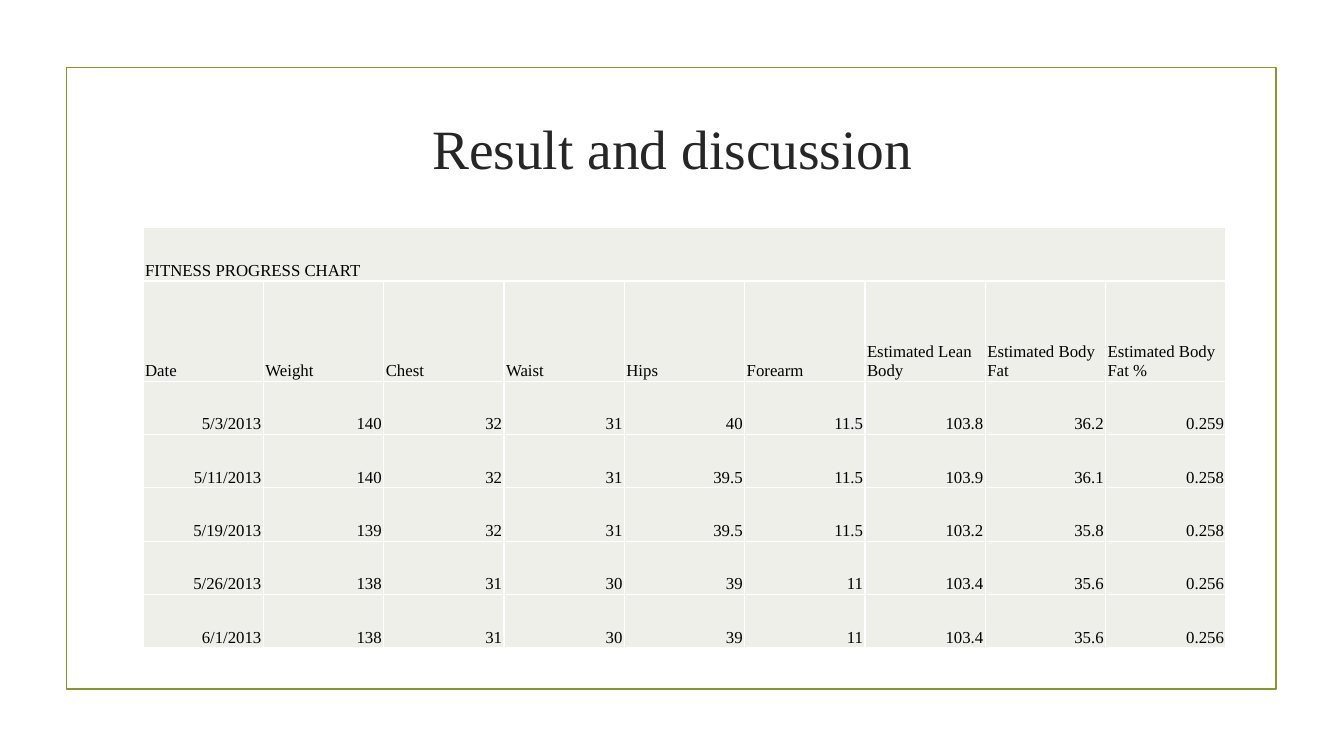
from lxml import etree
from pptx import Presentation
from pptx import util as u
from pptx.dml.color import RGBColor
from pptx.enum import shapes, text
from pptx.oxml.ns import qn

HEADINGS = ["Date", "Weight", "Chest", "Waist", "Hips", "Forearm",
            "Estimated Lean Body", "Estimated Body Fat", "Estimated Body Fat %"]
MEASUREMENTS = [
    ["5/3/2013", "140", "32", "31", "40", "11.5", "103.8", "36.2", "0.259"],
    ["5/11/2013", "140", "32", "31", "39.5", "11.5", "103.9", "36.1", "0.258"],
    ["5/19/2013", "139", "32", "31", "39.5", "11.5", "103.2", "35.8", "0.258"],
    ["5/26/2013", "138", "31", "30", "39", "11", "103.4", "35.6", "0.256"],
    ["6/1/2013", "138", "31", "30", "39", "11", "103.4", "35.6", "0.256"],
]
ROW_HEIGHT, HEADING_HEIGHT = 7.05, 13.25


def color(hex_code):
    return RGBColor.from_string(hex_code)


def assign(target, values):
    for attribute, value in values.items():
        setattr(target, attribute, value)


class Deck:
    """Holds the style and the current slide; lengths are percentages of the slide."""

    FONT = "Times New Roman"
    OLIVE, CELL, RULE = "83992A", "EDEFE8", "FFFFFF"
    TITLE_INK, TABLE_INK = "262626", "000000"
    CELL_FORMAT = {
        "vertical_anchor": text.MSO_ANCHOR.BOTTOM,
        "margin_left": u.Inches(0.02), "margin_right": u.Inches(0.02),
        "margin_top": u.Inches(0.01), "margin_bottom": u.Inches(0.01),
    }

    def __init__(self):
        self.presentation = Presentation()
        assign(self.presentation, {"slide_width": u.Inches(13.33),
                                   "slide_height": u.Inches(7.5)})
        title_only = self.presentation.slide_layouts[5]
        self.slide = self.presentation.slides.add_slide(title_only)

    def across(self, share):
        return round(self.presentation.slide_width * share / 100)

    def down(self, share):
        return round(self.presentation.slide_height * share / 100)

    def box(self, left, top, width, height):
        return self.across(left), self.down(top), self.across(width), self.down(height)

    def put_text(self, frame, wording, size, ink, align):
        paragraph = frame.paragraphs[0]
        paragraph.alignment = align
        run = paragraph.add_run()
        run.text = wording
        assign(run.font, {"name": self.FONT, "size": u.Pt(size), "bold": False})
        run.font.color.rgb = color(ink)

    def title(self, wording, *place):
        heading = self.slide.shapes.title
        assign(heading, dict(zip(("left", "top", "width", "height"), self.box(*place))))
        assign(heading.text_frame, {"vertical_anchor": text.MSO_ANCHOR.MIDDLE,
                                    "word_wrap": True,
                                    "auto_size": text.MSO_AUTO_SIZE.NONE})
        self.put_text(heading.text_frame, wording, 39.6, self.TITLE_INK, text.PP_ALIGN.CENTER)

    def border(self, *place):
        border = self.slide.shapes.add_shape(shapes.MSO_SHAPE.RECTANGLE, *self.box(*place))
        border.shadow.inherit = False
        border.fill.background()
        border.line.color.rgb = color(self.OLIVE)
        border.line.width = u.Pt(1.25)

    def rule_cell(self, cell):
        """Draw the four cell borders; they must precede the fill in the XML."""
        properties = cell._tc.get_or_add_tcPr()
        for side in ("lnL", "lnR", "lnT", "lnB"):
            edge = etree.SubElement(properties, qn(f"a:{side}"), w=str(u.Pt(1)))
            paint = etree.SubElement(edge, qn("a:solidFill"))
            etree.SubElement(paint, qn("a:srgbClr"), val=self.RULE)

    def table(self, rows, heights, first_number_row, left, top, width):
        """Fill a grid whose first row is one caption across all columns."""
        columns = len(rows[-1])
        table = self.slide.shapes.add_table(
            len(rows), columns, *self.box(left, top, width, sum(heights))).table
        assign(table, {"first_row": False, "horz_banding": False})
        for row, height in zip(table.rows, heights):
            row.height = self.down(height)
        for column in table.columns:
            column.width = self.across(width / columns)
        for cell in table.iter_cells():
            assign(cell, self.CELL_FORMAT)
            self.rule_cell(cell)
            cell.fill.solid()
            cell.fill.fore_color.rgb = color(self.CELL)
        table.cell(0, 0).merge(table.cell(0, columns - 1))
        for r, row in enumerate(rows):
            align = text.PP_ALIGN.RIGHT if r >= first_number_row else text.PP_ALIGN.LEFT
            for c, wording in enumerate(row):
                self.put_text(table.cell(r, c).text_frame, wording, 12, self.TABLE_INK, align)


def main():
    deck = Deck()
    deck.border(4.95, 8.93, 90, 82.27)
    deck.title("Result and discussion", 10.65, 14.27, 78.77, 10.4)
    progress = [["FITNESS PROGRESS CHART"], HEADINGS, *MEASUREMENTS]
    heights = [ROW_HEIGHT, HEADING_HEIGHT] + [ROW_HEIGHT] * len(MEASUREMENTS)
    deck.table(progress, heights, 2, 10.65, 30.13, 80.57)
    deck.presentation.save("out.pptx")


if __name__ == "__main__":
    main()
